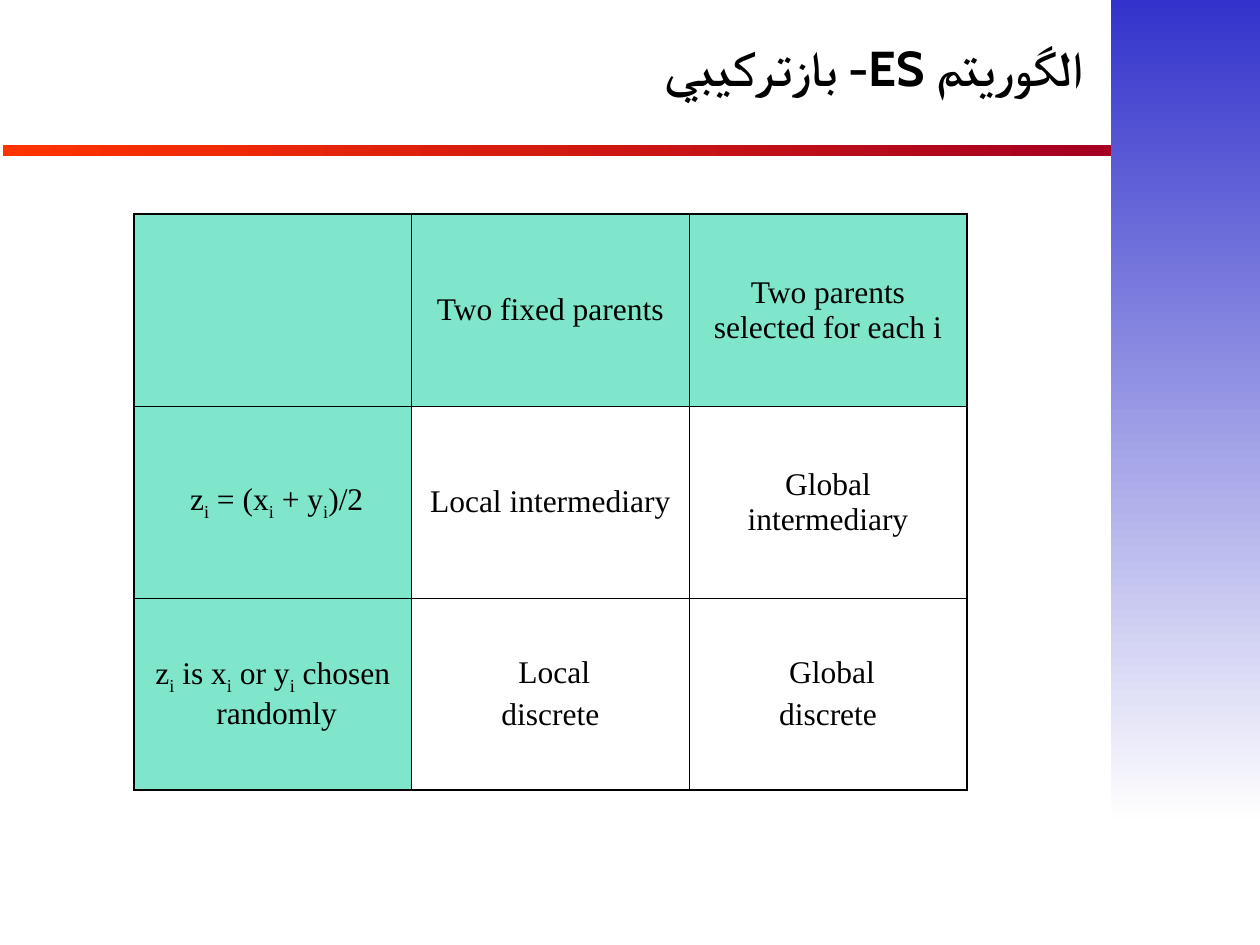
import pptx
import pptx.dml.color
import pptx.enum.dml
import pptx.enum.shapes
import pptx.enum.text
import pptx.oxml
import pptx.oxml.ns
import pptx.util

Pt = pptx.util.Pt
RGBColor = pptx.dml.color.RGBColor
qn = pptx.oxml.ns.qn
PP_ALIGN = pptx.enum.text.PP_ALIGN
MIDDLE = pptx.enum.text.MSO_ANCHOR.MIDDLE

BLACK = RGBColor(0x00, 0x00, 0x00)
GREEN = RGBColor(0x00, 0xCC, 0x99)
ORANGE = RGBColor(0xFF, 0x33, 0x00)
CRIMSON = RGBColor(0xA5, 0x00, 0x21)
BLUE = RGBColor(0x33, 0x33, 0xCC)
NEAR_WHITE = RGBColor(0xFE, 0xFE, 0xFE)

TITLE_FORMAT = {"name": "Cabin", "size": Pt(28), "bold": True}
CELL_FORMAT = {"name": "Times New Roman", "size": Pt(18), "bold": False}
OUTER_LINE, INNER_LINE = Pt(1.08), Pt(0.45)

# Each cell is a list of paragraphs; "_" comes before a subscript letter
RECOMBINATION = [
    [[], ["Two fixed parents"], ["Two parents selected for each i"]],
    [["z_i = (x_i + y_i)/2 "], ["Local intermediary"], ["Global intermediary"]],
    [["z_i is x_i or y_i chosen randomly "], ["Local ", "discrete"], ["Global ", "discrete"]],
]


def format_run(run, font_format):
    for name, value in font_format.items():
        setattr(run.font, name, value)
    run.font.color.rgb = BLACK
    # Arabic text takes its typeface from the complex script font
    complex_font = pptx.oxml.parse_xml(
        f'<a:cs {pptx.oxml.ns.nsdecls("a")} typeface="{font_format["name"]}"/>')
    run.font._element.append(complex_font)


def set_right_to_left(paragraph, alignment):
    paragraph.alignment = alignment
    paragraph._p.get_or_add_pPr().set("rtl", "1")


def add_gradient_bar(slide, box, colors, angle):
    bar = slide.shapes.add_shape(pptx.enum.shapes.MSO_SHAPE.RECTANGLE, *map(Pt, box))
    bar.shadow.inherit = False
    bar.line.fill.background()
    bar.fill.gradient()
    bar.fill.gradient_angle = angle
    for position, (stop, color) in enumerate(zip(bar.fill.gradient_stops, colors)):
        stop.position = position
        stop.color.rgb = color


def add_title(slide, box, text):
    title = slide.shapes.title
    title.left, title.top, title.width, title.height = map(Pt, box)
    frame = title.text_frame
    frame.auto_size = pptx.enum.text.MSO_AUTO_SIZE.NONE
    frame.word_wrap = True
    frame.vertical_anchor = MIDDLE
    paragraph = frame.paragraphs[0]
    set_right_to_left(paragraph, PP_ALIGN.RIGHT)
    paragraph.line_spacing = 0.8
    run = paragraph.add_run()
    run.text = text
    format_run(run, TITLE_FORMAT)


def add_subscripted_text(paragraph, text):
    first, *rest = text.split("_")
    pieces = [(first, False)]
    for part in rest:
        pieces += [(part[0], True), (part[1:], False)]
    for piece, is_subscript in pieces:
        run = paragraph.add_run()
        run.text = piece
        format_run(run, CELL_FORMAT)
        if is_subscript:
            run.font._element.set("baseline", "-25000")


def set_borders(cell, outer_sides):
    properties = cell._tc.get_or_add_tcPr()
    for side in "LRTB":
        width = OUTER_LINE if side in outer_sides else INNER_LINE
        properties.append(pptx.oxml.parse_xml(
            f'<a:ln{side} {pptx.oxml.ns.nsdecls("a")} w="{int(width)}">'
            f'<a:solidFill><a:srgbClr val="{BLACK}"/></a:solidFill></a:ln{side}>'))


def fill_cell(cell, is_header):
    if not is_header:
        cell.fill.background()
        return
    cell.fill.solid()
    cell.fill.fore_color.rgb = GREEN
    color = cell._tc.tcPr.find(qn("a:solidFill")).find(qn("a:srgbClr"))
    color.append(pptx.oxml.parse_xml(
        f'<a:alpha {pptx.oxml.ns.nsdecls("a")} val="50000"/>'))


def write_cell(cell, texts):
    cell.vertical_anchor = MIDDLE
    frame = cell.text_frame
    for index, text in enumerate(texts):
        paragraph = frame.add_paragraph() if index else frame.paragraphs[0]
        set_right_to_left(paragraph, PP_ALIGN.CENTER)
        if index:
            paragraph.space_before = Pt(4.5)
        add_subscripted_text(paragraph, text)


def add_recombination_table(slide, box, rows):
    last_row, last_column = len(rows) - 1, len(rows[0]) - 1
    table = slide.shapes.add_table(len(rows), len(rows[0]), *map(Pt, box)).table
    table.first_row = table.horz_banding = False
    for column in table.columns:
        column.width = Pt(box[2] / len(rows[0]))
    for row in table.rows:
        row.height = Pt(box[3] / len(rows))
    for r, row in enumerate(rows):
        for c, texts in enumerate(row):
            cell = table.cell(r, c)
            edges = {"L": c == 0, "R": c == last_column, "T": r == 0, "B": r == last_row}
            set_borders(cell, [side for side, is_outer in edges.items() if is_outer])
            fill_cell(cell, r == 0 or c == 0)
            write_cell(cell, texts)


def main():
    presentation = pptx.Presentation()
    presentation.slide_width, presentation.slide_height = Pt(720), Pt(540)
    slide = presentation.slides.add_slide(presentation.slide_layouts[5])

    # Rule under the title and band on the right
    add_gradient_bar(slide, (1.5, 82.8, 633.5, 6.4), (ORANGE, CRIMSON), 0)
    add_gradient_bar(slide, (635, 0, 88, 468), (BLUE, NEAR_WHITE), 270)

    add_title(slide, (8.6, 0, 618, 82.8), "الگوريتم ES- بازتركيبي")
    add_recombination_table(slide, (76.5, 122.4, 476, 329), RECOMBINATION)
    presentation.save("out.pptx")


if __name__ == "__main__":
    main()
